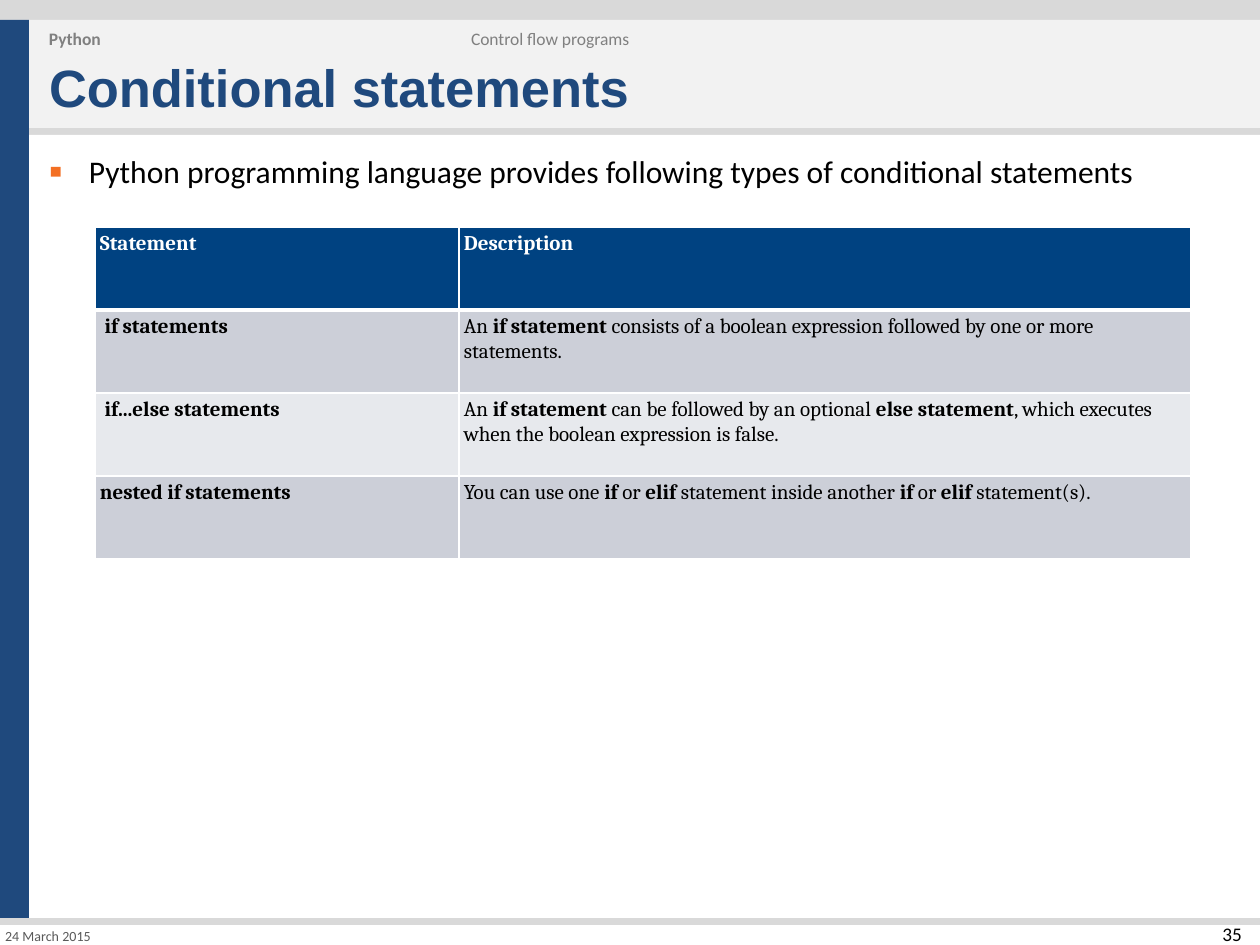
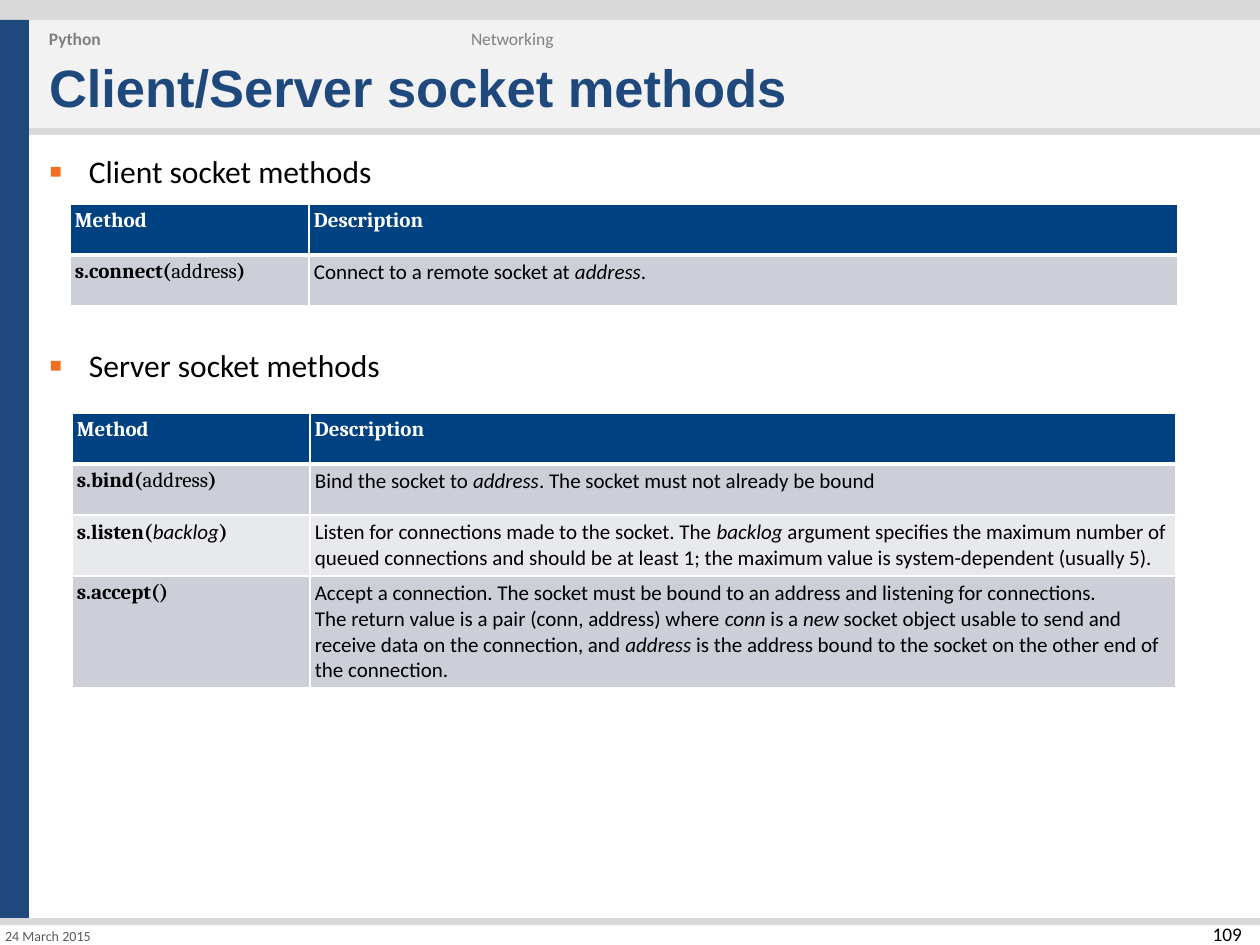
from dataclasses import dataclass, replace
from typing import NamedTuple, Optional

from lxml import etree
from pptx import Presentation
from pptx.dml.color import RGBColor
from pptx.enum.shapes import MSO_SHAPE
from pptx.enum.text import MSO_ANCHOR, PP_ALIGN
from pptx.oxml import parse_xml
from pptx.oxml.ns import nsdecls, qn
from pptx.util import Pt

RECTANGLE = MSO_SHAPE.RECTANGLE
TOP, MIDDLE, BOTTOM = MSO_ANCHOR.TOP, MSO_ANCHOR.MIDDLE, MSO_ANCHOR.BOTTOM
LEFT, RIGHT = PP_ALIGN.LEFT, PP_ALIGN.RIGHT

PX_PER_INCH = 126
EMU_PER_INCH = 914400
PAGE_WIDTH, PAGE_HEIGHT = 1260, 945
BULLET_INDENT = 40
TEXT_INSET, CELL_INSET = 10, 5
BORDER, HEADER_BORDER = 1, 3


@dataclass(frozen=True)
class TextStyle:
    font: str
    size: int
    colour: str
    bold: bool = False


@dataclass(frozen=True)
class Theme:
    backdrop: str = "D9D9D9"
    sidebar: str = "1F497D"
    title_band: str = "F2F2F2"
    paper: str = "FFFFFF"
    bullet: str = "F36F23"
    header_fill: str = "004281"
    row_fills: tuple[str, str] = ("CCCFD8", "E7E9ED")
    title: TextStyle = TextStyle("Arial", 30, "1F497D", True)
    body: TextStyle = TextStyle("Calibri", 18, "000000")
    course: TextStyle = TextStyle("Calibri", 10, "808080", True)
    topic: TextStyle = TextStyle("Calibri", 10, "808080")
    date: TextStyle = TextStyle("Calibri", 8, "595959")
    number: TextStyle = TextStyle("Calibri", 11, "000000")
    table_header: TextStyle = TextStyle("Cambria", 12, "FFFFFF", True)
    table_name: TextStyle = TextStyle("Cambria", 12, "000000", True)
    table_text: TextStyle = TextStyle("Cambria", 12, "000000")


THEME = Theme()


class Area(NamedTuple):
    left: int
    top: int
    width: int
    height: int


class Band(NamedTuple):
    area: Area
    colour: str


class Span(NamedTuple):
    text: str
    bold: Optional[bool] = None
    italic: Optional[bool] = None
    font: Optional[str] = None


Line = list[Span]


class Row(NamedTuple):
    name: Line
    description: list[Line]


class Bullet(NamedTuple):
    text: str
    top: int


@dataclass(frozen=True)
class TableSpec:
    left: int
    top: int
    columns: tuple[int, int]
    heights: list[int]
    name_heading: str
    rows: list[Row]
    description_font: str


@dataclass(frozen=True)
class PageSpec:
    topic: str
    title: str
    number: int
    bullets: list[Bullet]
    tables: list[TableSpec]


BANDS = [
    Band(Area(0, 20, 29, 898), THEME.sidebar),
    Band(Area(29, 20, 1231, 108), THEME.title_band),
    Band(Area(29, 135, 1231, 783), THEME.paper),
    Band(Area(0, 925, PAGE_WIDTH, 20), THEME.paper),
]


def px(length: int) -> int:
    return round(length * EMU_PER_INCH / PX_PER_INCH)


def bold(text: str) -> Span:
    return Span(text, bold=True)


def italic(text: str) -> Span:
    return Span(text, italic=True)


def call(method: str, argument: Span) -> Line:
    return [Span(f"s.{method}("), argument, Span(")")]


def write(para, line: Line, style: TextStyle) -> None:
    font = para.font
    font.name, font.size, font.bold = style.font, Pt(style.size), style.bold
    font.color.rgb = RGBColor.from_string(style.colour)
    for span in line:
        run = para.add_run()
        run.text = span.text
        if span.bold is not None:
            run.font.bold = span.bold
        if span.italic is not None:
            run.font.italic = span.italic
        if span.font is not None:
            run.font.name = span.font


def add_text(page, area: Area, text: str, style: TextStyle, anchor=TOP,
             align=LEFT, inset_x: int = TEXT_INSET, inset_y: int = TEXT_INSET,
             bulleted: bool = False) -> None:
    frame = page.shapes.add_textbox(*map(px, area)).text_frame
    frame.word_wrap = True
    frame.vertical_anchor = anchor
    frame.margin_left = frame.margin_right = px(inset_x)
    frame.margin_top = frame.margin_bottom = px(inset_y)
    para = frame.paragraphs[0]
    para.alignment = align
    if bulleted:
        add_bullet(para)
    write(para, [Span(text)], style)


def add_bullet(para) -> None:
    properties = para._p.get_or_add_pPr()
    properties.set("marL", str(px(BULLET_INDENT)))
    properties.set("indent", str(-px(BULLET_INDENT)))
    colour = etree.SubElement(properties, qn("a:buClr"))
    etree.SubElement(colour, qn("a:srgbClr"), val=THEME.bullet)
    etree.SubElement(properties, qn("a:buSzPct"), val="125000")
    etree.SubElement(properties, qn("a:buFont"), typeface="Arial")
    etree.SubElement(properties, qn("a:buChar"), char="▪")


def add_borders(cell, top: int, bottom: int) -> None:
    properties = cell._tc.get_or_add_tcPr()
    widths = {"lnL": BORDER, "lnR": BORDER, "lnT": top, "lnB": bottom}
    for side, width in widths.items():
        properties.append(parse_xml(
            f'<a:{side} {nsdecls("a")} w="{Pt(width)}"><a:solidFill>'
            f'<a:srgbClr val="{THEME.paper}"/></a:solidFill></a:{side}>'))


def fill_cell(cell, lines: list[Line], style: TextStyle, row: int) -> None:
    add_borders(cell, HEADER_BORDER if row == 1 else BORDER,
                HEADER_BORDER if row == 0 else BORDER)
    colour = THEME.row_fills[(row - 1) % 2] if row else THEME.header_fill
    cell.fill.solid()
    cell.fill.fore_color.rgb = RGBColor.from_string(colour)
    cell.margin_left = cell.margin_right = px(CELL_INSET)
    cell.margin_top = cell.margin_bottom = px(CELL_INSET)
    frame = cell.text_frame
    for index, line in enumerate(lines):
        para = frame.add_paragraph() if index else frame.paragraphs[0]
        write(para, line, style)


def add_table(page, spec: TableSpec) -> None:
    area = Area(spec.left, spec.top, sum(spec.columns), sum(spec.heights))
    table = page.shapes.add_table(
        len(spec.heights), len(spec.columns), *map(px, area)).table
    table.first_row = table.horz_banding = False
    for column, width in zip(table.columns, spec.columns):
        column.width = px(width)
    for row, height in zip(table.rows, spec.heights):
        row.height = px(height)
    for column, heading in enumerate((spec.name_heading, "Description")):
        fill_cell(table.cell(0, column), [[Span(heading)]], THEME.table_header, 0)
    text_style = replace(THEME.table_text, font=spec.description_font)
    for index, row in enumerate(spec.rows, start=1):
        fill_cell(table.cell(index, 0), [row.name], THEME.table_name, index)
        fill_cell(table.cell(index, 1), row.description, text_style, index)


def add_frame(page, spec: PageSpec) -> None:
    page.background.fill.solid()
    page.background.fill.fore_color.rgb = RGBColor.from_string(THEME.backdrop)
    for band in BANDS:
        shape = page.shapes.add_shape(RECTANGLE, *map(px, band.area))
        shape.shadow.inherit = False
        shape.fill.solid()
        shape.fill.fore_color.rgb = RGBColor.from_string(band.colour)
        shape.line.fill.background()
    add_text(page, Area(39, 45, 1202, 83), spec.title, THEME.title, BOTTOM)
    add_text(page, Area(39, 18, 426, 41), "Python", THEME.course, MIDDLE)
    add_text(page, Area(461, 18, 513, 41), spec.topic, THEME.topic, MIDDLE)
    add_text(page, Area(0, 926, 158, 20), "24 March 2015", THEME.date, MIDDLE,
             inset_x=CELL_INSET, inset_y=0)
    add_text(page, Area(1142, 922, 100, 23), str(spec.number), THEME.number,
             align=RIGHT, inset_x=0, inset_y=0)


def add_page(deck, spec: PageSpec) -> None:
    page = deck.slides.add_slide(deck.slide_layouts[6])
    add_frame(page, spec)
    for bullet in spec.bullets:
        add_text(page, Area(39, bullet.top, 1200, 58), bullet.text, THEME.body,
                 bulleted=True)
    for table in spec.tables:
        add_table(page, table)


CONDITIONALS = TableSpec(95, 227, (364, 732), [83] * 4, "Statement", [
    Row([Span(" if statements")], [[
        Span("An "), bold("if statement"),
        Span(" consists of a boolean expression followed by one or more statements.")]]),
    Row([Span(" if...else statements")], [[
        Span("An "), bold("if statement"),
        Span(" can be followed by an optional "), bold("else statement"),
        Span(", which executes when the boolean expression is false.")]]),
    Row([Span("nested if statements")], [[
        Span("You can use one "), bold("if"), Span(" or "), bold("elif"),
        Span(" statement inside another "), bold("if"), Span(" or "),
        bold("elif"), Span(" statement(s).")]]),
], "Cambria")

ADDRESS = Span("address", bold=False)
BACKLOG = Span("backlog", bold=False, italic=True, font="Calibri")

CLIENT_METHODS = TableSpec(70, 204, (239, 869), [51] * 2, "Method", [
    Row(call("connect", ADDRESS), [[
        Span("Connect to a remote socket at "), italic("address"), Span(".")]]),
], "Calibri")

SERVER_METHODS = TableSpec(72, 413, (238, 866), [51, 51, 61, 112], "Method", [
    Row(call("bind", ADDRESS), [[
        Span("Bind the socket to "), italic("address"),
        Span(". The socket must not already be bound")]]),
    Row(call("listen", BACKLOG), [[
        Span("Listen for connections made to the socket. The "), italic("backlog"),
        Span(" argument specifies the maximum number of queued connections and "
             "should be at least 1; the maximum value is system-dependent (usually 5).")]]),
    Row([Span("s.accept()")], [
        [Span("Accept a connection. The socket must be bound to an address and "
              "listening for connections.")],
        [Span("The return value is a pair (conn, address) where "), italic("conn"),
         Span(" is a "), italic("new"),
         Span(" socket object usable to send and receive data on the connection, and "),
         italic("address"),
         Span(" is the address bound to the socket on the other end of the connection.")]]),
], "Calibri")

PAGES = [
    PageSpec("Control flow programs", "Conditional statements", 35,
             [Bullet("Python programming language provides following types of "
                     "conditional statements", 142)],
             [CONDITIONALS]),
    PageSpec("Networking", "Client/Server socket methods", 109,
             [Bullet("Client socket methods", 142), Bullet("Server socket methods", 336)],
             [CLIENT_METHODS, SERVER_METHODS]),
]


def main() -> None:
    deck = Presentation()
    deck.slide_width, deck.slide_height = px(PAGE_WIDTH), px(PAGE_HEIGHT)
    for spec in PAGES:
        add_page(deck, spec)
    deck.save("out.pptx")


if __name__ == "__main__":
    main()
